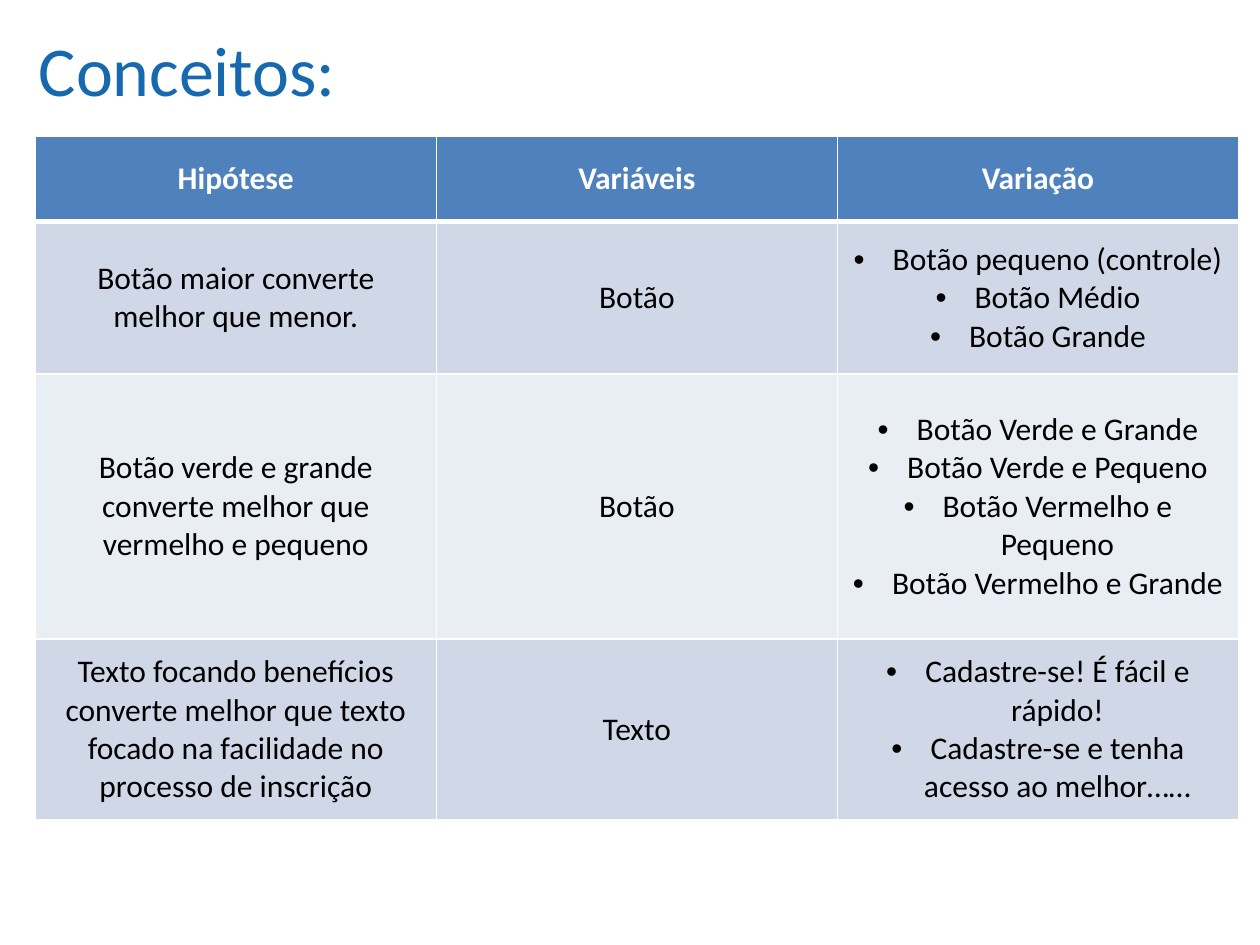
import pptx
import pptx.dml.color
import pptx.enum.text
import pptx.oxml
import pptx.oxml.ns
import pptx.util

Inches, Pt = pptx.util.Inches, pptx.util.Pt
ALIGN = pptx.enum.text.PP_ALIGN
ANCHOR = pptx.enum.text.MSO_ANCHOR
FONT = "Calibri"
COLORS = {
    "title": "1769AF",
    "head": "4F81BD",
    "odd": "D0D8E8",
    "even": "E9EDF4",
    "white": "FFFFFF",
    "black": "000000",
}
HEADS = ["Hipótese", "Variáveis", "Variação"]
TESTS = [
    ("Botão maior converte melhor que menor.", "Botão",
     ["Botão pequeno (controle)", "Botão Médio", "Botão Grande"]),
    ("Botão verde e grande converte melhor que vermelho e pequeno", "Botão",
     ["Botão Verde e Grande", "Botão Verde e Pequeno",
      "Botão Vermelho e Pequeno", "Botão Vermelho e Grande"]),
    ("Texto focando benefícios converte melhor que texto focado na "
     "facilidade no processo de inscrição", "Texto",
     ["Cadastre-se! É fácil e rápido!",
      "Cadastre-se e tenha acesso ao melhor……"]),
]
HEIGHTS = [0.68, 1.21, 2.1, 1.44]


def color(name):
    return pptx.dml.color.RGBColor.from_string(COLORS[name])


def style(para, size, ink, bold=False):
    para.font.name = FONT
    para.font.size = Pt(size)
    para.font.bold = bold
    para.font.color.rgb = color(ink)


def bullet(para):
    props = para._p.get_or_add_pPr()
    props.set("marL", str(Inches(0.31)))
    props.set("indent", str(Inches(-0.31)))
    for tag, key, value in (("buFont", "typeface", "Arial"),
                            ("buChar", "char", "•")):
        props.append(pptx.oxml.parse_xml(
            f'<a:{tag} {pptx.oxml.ns.nsdecls("a")} {key}="{value}"/>'))


def border(cell, base):
    """Draw white edges, with the given width in points at the bottom."""
    props = cell._tc.get_or_add_tcPr()
    for side, width in (("L", 1), ("R", 1), ("T", 1), ("B", base)):
        props.append(pptx.oxml.parse_xml(
            f'<a:ln{side} {pptx.oxml.ns.nsdecls("a")} w="{Pt(width)}">'
            f'<a:solidFill><a:srgbClr val="{COLORS["white"]}"/></a:solidFill>'
            f'</a:ln{side}>'))


def fill_cell(cell, content, back, head=False):
    """Write a string as plain text, or a list as bullets."""
    if head:
        border(cell, 3)
    cell.fill.solid()
    cell.fill.fore_color.rgb = color(back)
    cell.vertical_anchor = ANCHOR.MIDDLE
    listed = isinstance(content, list)
    frame = cell.text_frame
    frame.text = "\n".join(content) if listed else content
    for para in frame.paragraphs:
        para.alignment = ALIGN.CENTER
        if listed:
            bullet(para)
        style(para, 18, "white" if head else "black", head)


def add_title(slide, left, top, width, height):
    frame = slide.shapes.add_textbox(left, top, width, height).text_frame
    frame.word_wrap = True
    frame.text = "Conceitos:"
    style(frame.paragraphs[0], 40, "title")


def add_tests(slide, left, top, width, height):
    rows = [HEADS, *TESTS]
    table = slide.shapes.add_table(
        len(rows), len(HEADS), left, top, width, height).table
    for r, row in enumerate(rows):
        table.rows[r].height = int(height * HEIGHTS[r] / sum(HEIGHTS))
        back = "head" if r == 0 else "odd" if r % 2 else "even"
        for c, content in enumerate(row):
            fill_cell(table.cell(r, c), content, back, r == 0)


def main():
    deck = pptx.Presentation()
    deck.slide_width, deck.slide_height = Inches(10), Inches(7.5)
    slide = deck.slides.add_slide(deck.slide_layouts[6])
    add_title(slide, Inches(0.21), Inches(0.16), Inches(9.62), Inches(0.66))
    add_tests(slide, Inches(0.28), Inches(1.08), Inches(9.55), Inches(5.43))
    deck.save("out.pptx")


if __name__ == "__main__":
    main()
